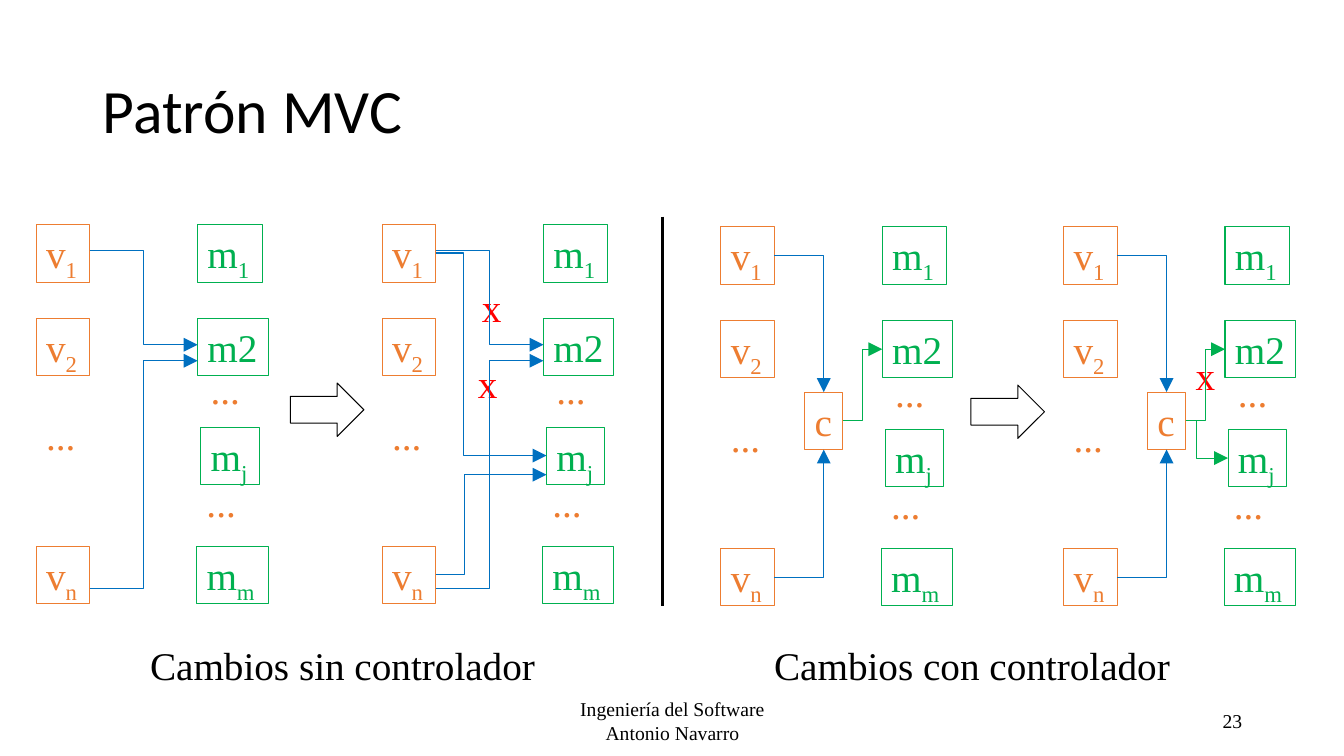
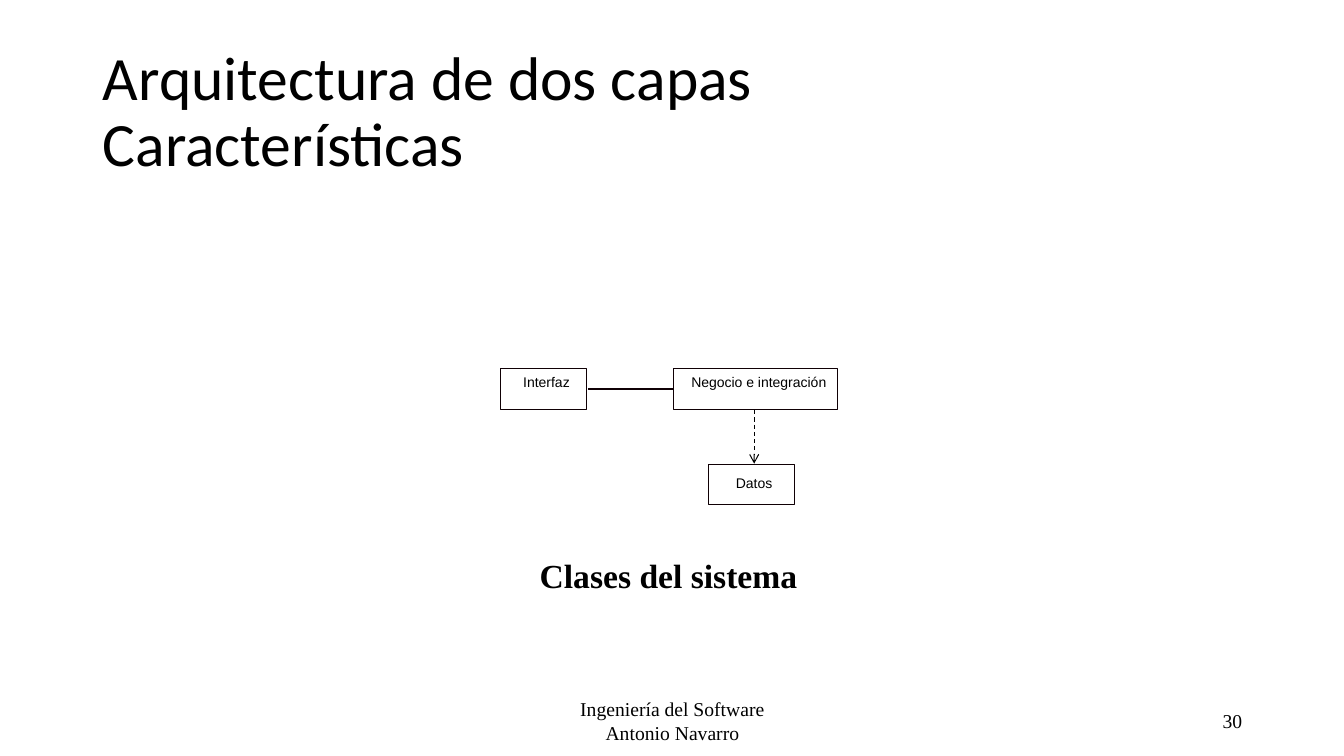
"""Builds two slides on the MVC pattern and the two-layer architecture."""
from dataclasses import dataclass

from lxml import etree
from pptx import Presentation
from pptx import util as u
from pptx.dml.color import RGBColor
from pptx.enum import dml, shapes, text
from pptx.oxml.ns import qn


@dataclass(frozen=True)
class Theme:
    black: str = "000000"
    ink: str = "0F0005"
    view: str = "ED7D31"
    model: str = "00B050"
    call: str = "0070C0"
    change: str = "FF0000"
    serif: str = "Times New Roman"
    sans: str = "Arial"
    heading: str = "Calibri"
    title: int = 44
    big: int = 28
    caption: int = 24
    footer: int = 14
    label: int = 10


T = Theme()
I = u.Inches
LEFT, CENTER, RIGHT = text.PP_ALIGN.LEFT, text.PP_ALIGN.CENTER, text.PP_ALIGN.RIGHT
TOP, MIDDLE = text.MSO_ANCHOR.TOP, text.MSO_ANCHOR.MIDDLE


def write(sp, content, font=T.serif, size=T.big, color=T.black, bold=False,
          align=LEFT, anchor=TOP, wrap=False, inset=None, spacing=None):
    tf = sp.text_frame
    tf.word_wrap = wrap
    tf.auto_size = text.MSO_AUTO_SIZE.NONE if wrap else text.MSO_AUTO_SIZE.SHAPE_TO_FIT_TEXT
    tf.vertical_anchor = anchor
    if inset is not None:
        tf.margin_left = tf.margin_right = tf.margin_top = tf.margin_bottom = I(inset)
    for i, line in enumerate(content.split("\n")):
        p = tf.add_paragraph() if i else tf.paragraphs[0]
        p.alignment = align
        p.line_spacing = spacing
        for j, part in enumerate(line.split("\v")):
            if j:
                p.add_line_break()
            for k, piece in enumerate(part.split("_")):
                r = p.add_run()
                r.text = piece
                r.font.name, r.font.size, r.font.bold = font, u.Pt(size), bold
                r.font.color.rgb = RGBColor.from_string(color)
                if k:
                    r.font._element.set("baseline", "-25000")


def link(s, start, end, color, geometry="line", adj=None, width=0.75, head=None,
         head_size="lg", dash=None):
    con = s.shapes.add_connector(shapes.MSO_CONNECTOR.STRAIGHT, *map(I, start + end))
    con.line.color.rgb = RGBColor.from_string(color)
    con.line.width = u.Pt(width)
    if dash:
        con.line.dash_style = dash
    pr = con.element.spPr
    geom = pr.find(qn("a:prstGeom"))
    geom.set("prst", geometry)
    if adj:
        guides = geom.find(qn("a:avLst"))
        etree.SubElement(guides, qn("a:gd"), name="adj1", fmla=f"val {round(adj * 100000)}")
    if head:
        etree.SubElement(pr.find(qn("a:ln")), qn("a:tailEnd"), type=head,
                         w=head_size, len=head_size)
    etree.SubElement(pr, qn("a:effectLst"))
    return con


prs = Presentation()
prs.slide_width, prs.slide_height = I(13.33), I(7.5)
layout = prs.slide_layouts[5]
sp = layout.placeholders[0]
sp.left, sp.top, sp.width, sp.height = I(0.92), I(0.4), I(11.5), I(1.45)

slides = []
for title, number in (("Patrón MVC", "23"),
                      ("Arquitectura de dos capas\vCaracterísticas", "30")):
    s = prs.slides.add_slide(layout)
    write(s.shapes.title, title, font=T.heading, size=T.title, anchor=MIDDLE,
          wrap=True, spacing=0.9)
    for x, w, content, align in ((4.42, 4.5, "Ingeniería del Software\nAntonio Navarro", CENTER),
                                 (9.42, 3, number, RIGHT)):
        sp = s.shapes.add_textbox(I(x), I(6.95), I(w), I(0.4))
        write(sp, content, size=T.footer, align=align, anchor=MIDDLE, wrap=True)
    slides.append(s)
mvc, layers = slides

for x, y in ((2.88, 3.8), (9.63, 3.82)):
    sp = mvc.shapes.add_shape(shapes.MSO_SHAPE.RIGHT_ARROW, I(x), I(y), I(0.73), I(0.53))
    sp.shadow.inherit = False
    sp.fill.background()
    sp.line.color.rgb = RGBColor.from_string(T.black)
    sp.line.width = u.Pt(0.75)

for x, w, content in ((1.39, 4.06, "Cambios sin controlador"),
                      (7.58, 4.17, "Cambios con controlador")):
    write(mvc.shapes.add_textbox(I(x), I(6.31), I(w), I(0.57)), content)

for x, y in ((4.68, 2.76), (4.64, 3.52), (11.76, 3.44)):
    write(mvc.shapes.add_textbox(I(x), I(y), I(0.38), I(0.57)), "x", color=T.change)

nodes = (
    ("v_1", 0, 0, 0.53, T.view),
    ("v_2", 0, 0.93, 0.53, T.view),
    ("v_n", 0, 3.19, 0.53, T.view),
    ("m_1", 1.6, 0, 0.64, T.model),
    ("m2", 1.6, 0.93, 0.7, T.model),
    ("m_j", 1.63, 2.01, 0.58, T.model),
    ("m_m", 1.59, 3.19, 0.71, T.model),
)
controller = ("c", 0.83, 1.64, 0.38, T.view)
gaps = ((0, 1.8), (1.63, 1.35), (1.59, 2.47))
direct = ((0.26, 1.6, 1.19, 0.5), (3.61, 1.6, 1.35, 0.5))
moved = ((0.28, 1.63, 2.29, 0.25), (3.47, 1.63, 2.48, 0.26))
routed = (
    ("v_1", 3, "c", 0, T.call, "bentConnector2", None),
    ("v_n", 3, "c", 2, T.call, "bentConnector2", None),
    ("c", 3, "m2", 1, T.model, "bentConnector3", 0.5),
)
rerouted = (("c", 3, "m_j", 1, T.model, "bentConnector3", 0.26),)
panels = (
    (0.36, 2.23, nodes, direct, ()),
    (3.79, 2.23, nodes, direct + moved, ()),
    (7.15, 2.25, nodes + (controller,), (), routed),
    (10.55, 2.25, nodes + (controller,), (), routed + rerouted),
)

for left, top, boxes, free, bound in panels:
    made = {}
    for name, dx, dy, w, color in boxes:
        sp = mvc.shapes.add_shape(shapes.MSO_SHAPE.RECTANGLE, I(left + dx), I(top + dy),
                                  I(w), I(0.57))
        sp.shadow.inherit = False
        sp.fill.background()
        sp.line.color.rgb = RGBColor.from_string(color)
        sp.line.width = u.Pt(0.75)
        write(sp, name, color=color)
        made[name] = sp
    for dx, dy in gaps:
        sp = mvc.shapes.add_textbox(I(left + dx), I(top + dy), I(0.5), I(0.57))
        write(sp, "...", color=T.view)
    for y1, x2, y2, adj in free:
        link(mvc, (left + 0.53, top + y1), (left + x2, top + y2), T.call,
             "bentConnector3", adj, head="triangle")
    for source, exit_site, target, entry_site, color, geometry, adj in bound:
        con = link(mvc, (left, top), (left + 1, top + 1), color, geometry, adj, head="triangle")
        con.begin_connect(made[source], exit_site)
        con.end_connect(made[target], entry_site)

link(mvc, (6.57, 2.15), (6.57, 6.01), T.black, width=2)

sp = layers.shapes.add_textbox(I(5.24), I(5.46), I(2.78), I(0.51))
write(sp, "Clases del sistema", size=T.caption, bold=True, align=CENTER)

for x, y, w, name, tx, ty, tw in (
    (4.96, 3.66, 0.86, "Interfaz", 5.12, 3.71, 0.6),
    (7.03, 4.61, 0.85, "Datos", 7.23, 4.71, 0.5),
    (6.68, 3.66, 1.63, "Negocio e integración", 6.78, 3.71, 1.49),
):
    sp = layers.shapes.add_shape(shapes.MSO_SHAPE.RECTANGLE, I(x), I(y), I(w), I(0.4))
    sp.shadow.inherit = False
    sp.fill.background()
    sp.line.color.rgb = RGBColor.from_string(T.ink)
    sp.line.width = u.Pt(0)
    sp = layers.shapes.add_textbox(I(tx), I(ty), I(tw), I(0.17))
    write(sp, name, font=T.sans, size=T.label, align=CENTER, inset=0)

link(layers, (5.83, 3.86), (6.68, 3.86), T.ink, width=0)
link(layers, (7.48, 4.07), (7.48, 4.6), T.black, head="arrow", head_size="med",
     dash=dml.MSO_LINE.DASH)

prs.save("out.pptx")
